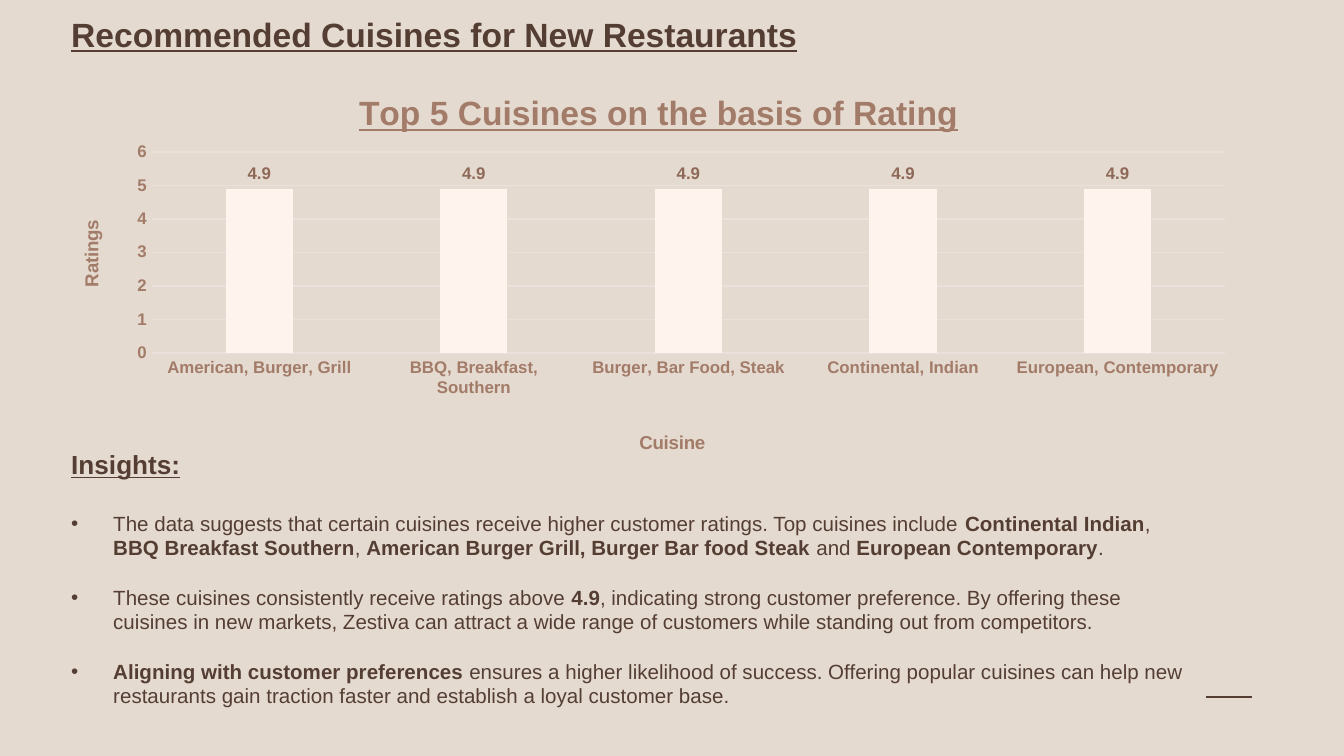
from pptx import Presentation
from pptx import util as u
from pptx.chart.data import CategoryChartData
from pptx.dml.color import RGBColor
from pptx.enum import chart as ch
from pptx.oxml import parse_xml
from pptx.oxml.ns import nsdecls, qn

THEME = {
    "font": "Arial", "bg": "E5DACF", "dark": "543E34", "brown": "A27B69",
    "label": "8E6958", "bar": "FEF3ED", "grid": "EAE0DC",
    "title": 18, "heading": 14, "body": 11, "chart": 10, "axis": 9,
}
TITLE = "Recommended Cuisines for New Restaurants"
CHART_TITLE = "Top 5 Cuisines on the basis of Rating"
AXIS_TITLES = {"cat": "Cuisine", "val": "Ratings"}
RATINGS = {
    "American, Burger, Grill": 4.9,
    "BBQ, Breakfast, Southern": 4.9,
    "Burger, Bar Food, Steak": 4.9,
    "Continental, Indian": 4.9,
    "European, Contemporary": 4.9,
}
HEADING = "Insights:"
INSIGHTS = [
    [("The data suggests that certain cuisines receive higher customer ratings. Top cuisines include ", False),
     ("Continental Indian", True), (",", False), (" BBQ Breakfast Southern", True), (", ", False),
     ("American Burger Grill, Burger Bar food Steak ", True), ("and ", False),
     ("European Contemporary", True), (".", False)],
    [("These cuisines consistently receive ratings above ", False), ("4.9", True),
     (", indicating strong customer preference. By offering these cuisines in new markets, "
      "Zestiva can attract a wide range of customers while standing out from competitors.", False)],
    [("Aligning with customer preferences", True),
     (" ensures a higher likelihood of success. Offering popular cuisines can help new restaurants "
      "gain traction faster and establish a loyal customer base.", False)],
]
SIZE = (1344, 756)
BOXES = {"title": (58, 7, 920, 54), "chart": (58, 60, 1191, 400), "insights": (58, 442, 1149, 308)}
PLOT = (152, 152, 1073, 201)
TITLE_SPOTS = {"chart": (353, 85), "cat": (636, 427), "val": (76, 217)}
DASH = (1206, 697, 1252, 697)
INDENT = 42


def px(n):
    return round(n * 914400 / 134.4)


def rgb(name):
    return RGBColor.from_string(THEME[name])


def style(font, size, color, bold=False, underline=None):
    values = {"name": THEME["font"], "size": u.Pt(THEME[size]), "bold": bold, "underline": underline}
    for key, value in values.items():
        setattr(font, key, value)
    font.color.rgb = rgb(color)


def add_run(p, text, *fmt):
    r = p.add_run()
    r.text = text
    style(r.font, *fmt)


def add_box(slide, name):
    tf = slide.shapes.add_textbox(*map(px, BOXES[name])).text_frame
    tf.word_wrap = True
    return tf


def place(el, index, spot):
    for old in el.findall(qn("c:layout")):
        el.remove(old)
    left, top, width, height = BOXES["chart"]
    parts = [(spot[0] - left) / width, (spot[1] - top) / height]
    modes = '<c:xMode val="edge"/><c:yMode val="edge"/>'
    if len(spot) == 4:
        parts += [spot[2] / width, spot[3] / height]
        modes = '<c:layoutTarget val="inner"/>' + modes
    sizes = "".join(f'<c:{k} val="{v:.4f}"/>' for k, v in zip("xywh", parts))
    el.insert(index, parse_xml(
        f'<c:layout {nsdecls("c")}><c:manualLayout>{modes}{sizes}</c:manualLayout></c:layout>'))


def set_title(title, text, spot, *fmt):
    add_run(title.text_frame.paragraphs[0], text, *fmt)
    place(title._element, 1, spot)


def add_ratings_chart(slide):
    data = CategoryChartData()
    data.categories = list(RATINGS)
    data.add_series("Series 1", list(RATINGS.values()))
    chart = slide.shapes.add_chart(
        ch.XL_CHART_TYPE.COLUMN_CLUSTERED, *map(px, BOXES["chart"]), data).chart
    style(chart.font, "chart", "dark")
    chart.has_legend = False
    chart.has_title = True
    set_title(chart.chart_title, CHART_TITLE, TITLE_SPOTS["chart"], "title", "brown", True, True)

    cat, val = chart.category_axis, chart.value_axis
    for key, axis in (("cat", cat), ("val", val)):
        axis.major_tick_mark = axis.minor_tick_mark = ch.XL_TICK_MARK.NONE
        style(axis.tick_labels.font, "axis", "brown", True)
        axis.has_title = True
        set_title(axis.axis_title, AXIS_TITLES[key], TITLE_SPOTS[key], "chart", "brown", True)
    val.minimum_scale, val.maximum_scale, val.major_unit = 0, 6, 1
    val.has_major_gridlines = True
    val.format.line.fill.background()
    for line in (cat.format.line, val.major_gridlines.format.line):
        line.color.rgb = rgb("grid")
        line.width = u.Pt(0.75)

    plot = chart.plots[0]
    for key, value in {"gap_width": 219, "overlap": -27, "vary_by_categories": False,
                       "has_data_labels": True}.items():
        setattr(plot, key, value)
    labels = plot.data_labels
    labels.show_value = True
    labels.position = ch.XL_LABEL_POSITION.OUTSIDE_END
    style(labels.font, "axis", "label", True)
    fill = plot.series[0].format.fill
    fill.solid()
    fill.fore_color.rgb = rgb("bar")
    place(chart._chartSpace.chart.plotArea, 0, PLOT)


def add_insights(slide):
    tf = add_box(slide, "insights")
    add_run(tf.paragraphs[0], HEADING, "heading", "dark", True, True)
    for i, runs in enumerate(INSIGHTS):
        p = tf.add_paragraph()
        p.line_spacing = u.Pt(13.2)
        p.space_before = u.Pt(13.2 if i else 16.5)
        pPr = p._p.get_or_add_pPr()
        pPr.set("marL", str(px(INDENT)))
        pPr.set("indent", str(-px(INDENT)))
        pPr.append(parse_xml(f'<a:buFont {nsdecls("a")} typeface="{THEME["font"]}"/>'))
        pPr.append(parse_xml(f'<a:buChar {nsdecls("a")} char="•"/>'))
        for text, bold in runs:
            add_run(p, text, "body", "dark", bold)


def add_dash(slide):
    line = slide.shapes.add_connector(1, *map(px, DASH))
    line.line.color.rgb = rgb("dark")
    line.line.width = u.Pt(1.25)
    line._element.spPr.append(parse_xml(f'<a:effectLst {nsdecls("a")}/>'))


def main():
    prs = Presentation()
    prs.slide_width, prs.slide_height = map(px, SIZE)
    slide = prs.slides.add_slide(prs.slide_layouts[6])
    slide.background.fill.solid()
    slide.background.fill.fore_color.rgb = rgb("bg")
    add_dash(slide)
    add_run(add_box(slide, "title").paragraphs[0], TITLE, "title", "dark", True, True)
    add_ratings_chart(slide)
    add_insights(slide)
    prs.save("out.pptx")


if __name__ == "__main__":
    main()
